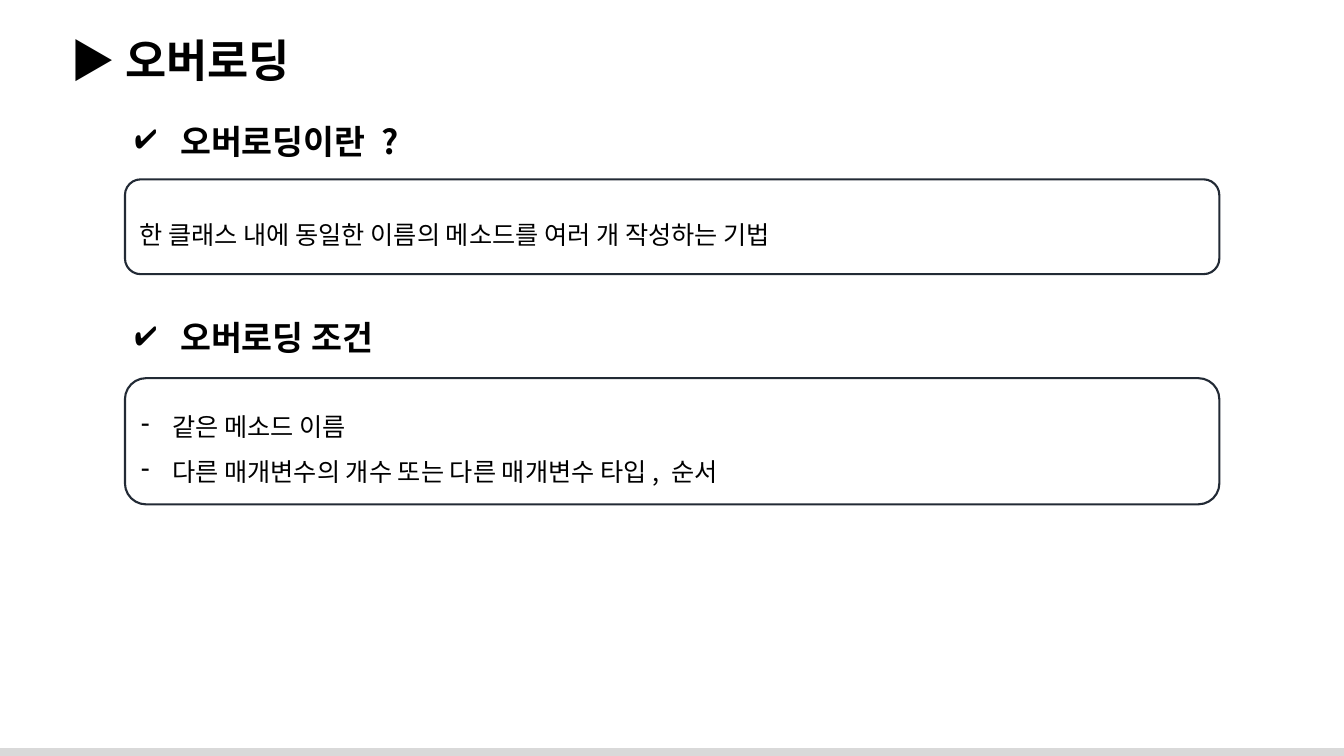
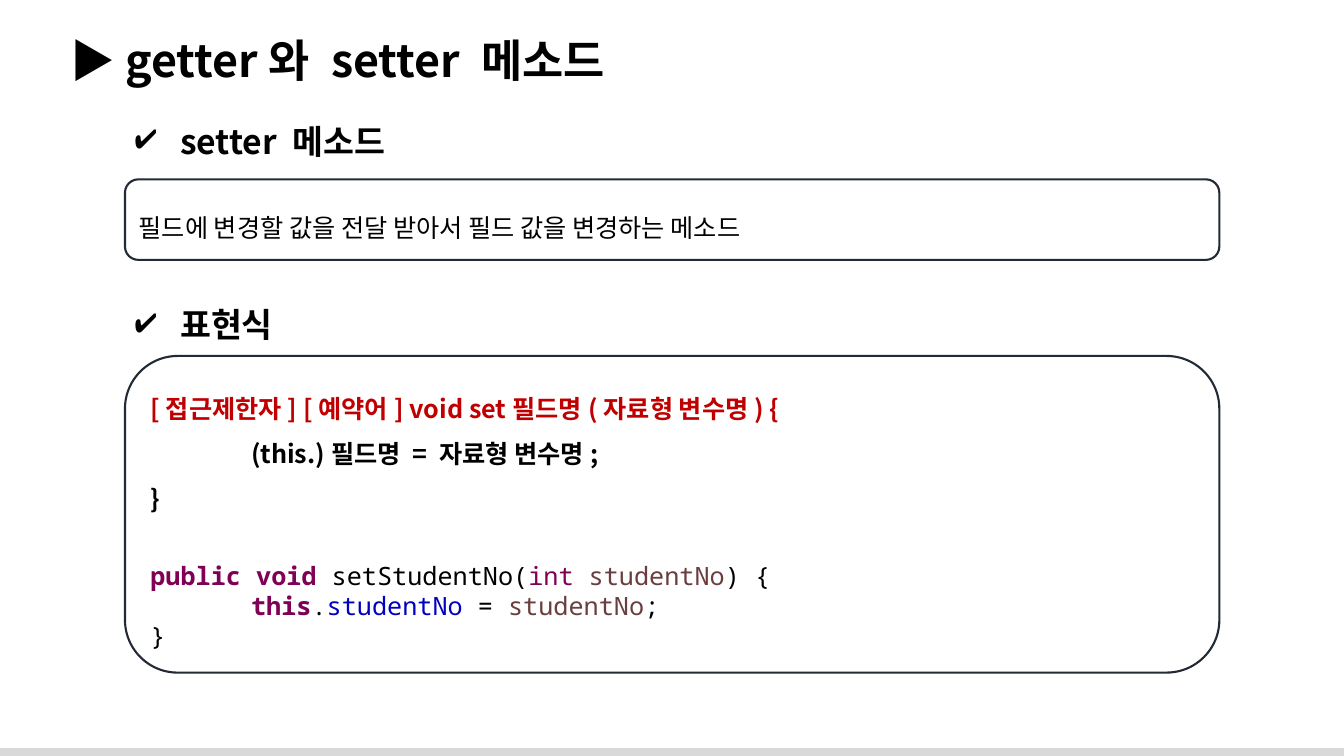
from lxml import etree
from pptx import Presentation
from pptx.dml.color import RGBColor
from pptx.enum.shapes import MSO_SHAPE
from pptx.enum.text import MSO_ANCHOR, PP_ALIGN
from pptx.oxml.ns import qn
from pptx.util import Cm, Pt

RECT, ROUND = MSO_SHAPE.RECTANGLE, MSO_SHAPE.ROUNDED_RECTANGLE
TOP, MIDDLE = MSO_ANCHOR.TOP, MSO_ANCHOR.MIDDLE
LEFT = PP_ALIGN.LEFT

SANS, MONO = "Noto Sans CJK KR", "Noto Sans Mono"
BLACK, RED, GREY, BORDER = "000000", "C00000", "D9D9D9", "222A35"
KEYWORD, PARAM, FIELD = "7F0055", "6A3E3E", "0000C0"
SLIDE_W, SLIDE_H = 33.87, 19.05
BODY_X, BODY_W = 3.15, 27.58
HEADING_H = 1.27

TITLE = {"size": 32, "bold": True}
HEADING = {"size": 24, "bold": True, "bullet": "✔", "hang": 1.14}
BODY = {"line_spacing": 1.5}
DASH = {**BODY, "bullet": "-", "hang": 0.79}
SYNTAX = {**BODY, "bold": True}
CODE = {"font": MONO}
STEP = {"margin": 2.54}

SLIDES = [
    {
        "title": "▶ 오버로딩",
        "sections": [
            {"heading": "오버로딩이란 ?", "heading_y": 2.92, "heading_w": 8.2,
             "box_y": 4.52, "box_h": 2.39,
             "lines": [(BODY, [("한 클래스 내에 동일한 이름의 메소드를 여러 개 작성하는 기법", {})])]},
            {"heading": "오버로딩 조건", "heading_y": 7.87, "heading_w": 7.21,
             "box_y": 9.53, "box_h": 3.18,
             "lines": [
                 (DASH, [("같은 메소드 이름", {})]),
                 (DASH, [("다른 매개변수의 개수 또는 다른 매개변수 타입, 순서", {})]),
             ]},
        ],
    },
    {
        "title": "▶ getter와 setter 메소드",
        "sections": [
            {"heading": "setter 메소드", "heading_y": 2.92, "heading_w": 6.99,
             "box_y": 4.52, "box_h": 2.03,
             "lines": [(BODY, [("필드에 변경할 값을 전달 받아서 필드 값을 변경하는 메소드", {})])]},
            {"heading": "표현식", "heading_y": 7.54, "heading_w": 4.34,
             "box_y": 8.97, "box_h": 7.98,
             "lines": [
                 (SYNTAX, [("[접근제한자] [예약어] void set필드명(자료형 변수명) {", {"color": RED})]),
                 ({**SYNTAX, **STEP}, [("(this.)필드명 = 자료형 변수명;", {})]),
                 (SYNTAX, [("}", {})]),
                 ({**CODE, "space_before": Pt(33)}, [
                     ("public void ", {"color": KEYWORD, "bold": True}),
                     ("setStudentNo(", {}),
                     ("int ", {"color": KEYWORD}),
                     ("studentNo", {"color": PARAM}),
                     (") {", {}),
                 ]),
                 ({**CODE, **STEP}, [
                     ("this", {"color": KEYWORD, "bold": True}),
                     (".", {}),
                     ("studentNo ", {"color": FIELD}),
                     ("= ", {}),
                     ("studentNo", {"color": PARAM}),
                     (";", {}),
                 ]),
                 (CODE, [("}", {})]),
             ]},
        ],
    },
]


def rgb(value):
    return RGBColor.from_string(value)


def add_run(p, text, style):
    r = p.add_run()
    r.text = text
    font = {"size": Pt(style.get("size", 18)), "bold": style.get("bold", False),
            "name": style.get("font", SANS)}
    for name, value in font.items():
        setattr(r.font, name, value)
    r.font.color.rgb = rgb(style.get("color", BLACK))
    etree.SubElement(r._r.get_or_add_rPr(), qn("a:ea"), typeface=SANS)


def format_paragraph(p, style):
    p.alignment = LEFT
    for name in ("line_spacing", "space_before"):
        if name in style:
            setattr(p, name, style[name])
    pPr = p._p.get_or_add_pPr()
    if "margin" in style:
        pPr.set("marL", str(Cm(style["margin"])))
    if "bullet" in style:
        pPr.set("marL", str(Cm(style["hang"])))
        pPr.set("indent", str(-Cm(style["hang"])))
        color = etree.SubElement(pPr, qn("a:buClr"))
        etree.SubElement(color, qn("a:srgbClr"), val=BLACK)
        etree.SubElement(pPr, qn("a:buChar"), char=style["bullet"])


def write(sp, lines, anchor):
    tf = sp.text_frame
    tf.word_wrap = True
    tf.vertical_anchor = anchor
    for i, (style, runs) in enumerate(lines):
        p = tf.add_paragraph() if i else tf.paragraphs[0]
        format_paragraph(p, style)
        for text, extra in runs:
            add_run(p, text, {**style, **extra})


def add_text(s, x, y, w, h, text, style):
    sp = s.shapes.add_textbox(Cm(x), Cm(y), Cm(w), Cm(h))
    write(sp, [(style, [(text, {})])], TOP)


def add_plain_shape(s, kind, x, y, w, h):
    sp = s.shapes.add_shape(kind, Cm(x), Cm(y), Cm(w), Cm(h))
    sp.shadow.inherit = False
    return sp


def add_footer(s):
    y = 18.85
    bar = add_plain_shape(s, RECT, 0, y, SLIDE_W, SLIDE_H - y)
    bar.fill.solid()
    bar.fill.fore_color.rgb = rgb(GREY)
    bar.line.fill.background()


def add_section(s, section):
    add_text(s, BODY_X, section["heading_y"], section["heading_w"], HEADING_H,
             section["heading"], HEADING)
    box = add_plain_shape(s, ROUND, BODY_X, section["box_y"], BODY_W, section["box_h"])
    box.fill.background()
    box.line.color.rgb = rgb(BORDER)
    box.line.width = Pt(1.5)
    write(box, section["lines"], MIDDLE)


def main():
    prs = Presentation()
    prs.slide_width, prs.slide_height = Cm(SLIDE_W), Cm(SLIDE_H)
    for content in SLIDES:
        s = prs.slides.add_slide(prs.slide_layouts[6])
        add_footer(s)
        add_text(s, 1.52, 0.71, 32, 1.63, content["title"], TITLE)
        for section in content["sections"]:
            add_section(s, section)
    prs.save("out.pptx")


if __name__ == "__main__":
    main()
